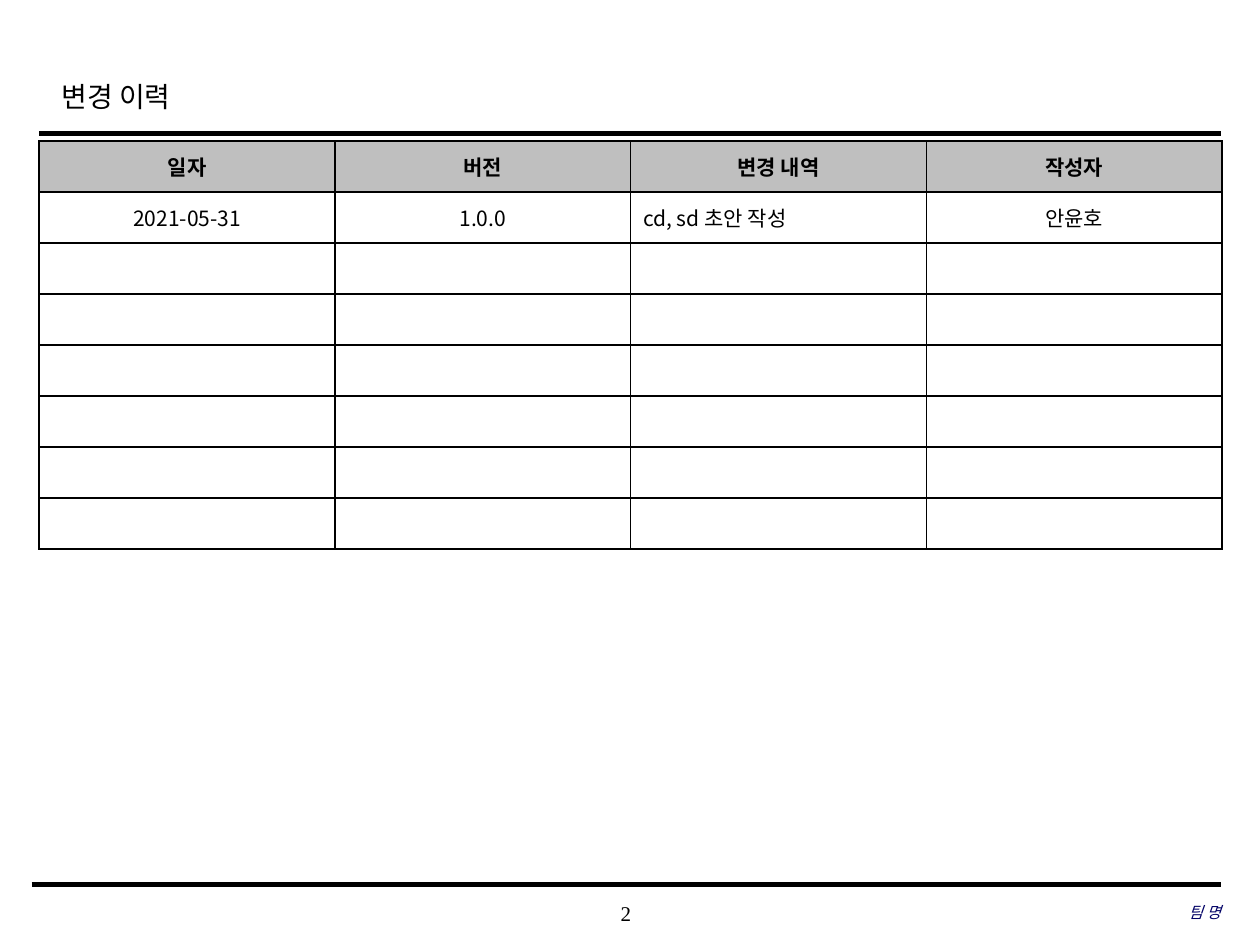
from dataclasses import dataclass

from lxml import etree
from pptx import Presentation
from pptx.dml.color import RGBColor
from pptx.enum.shapes import MSO_CONNECTOR
from pptx.enum.text import MSO_ANCHOR, PP_ALIGN
from pptx.oxml.ns import qn
from pptx.util import Cm, Pt

LEFT, CENTER, RIGHT = PP_ALIGN.LEFT, PP_ALIGN.CENTER, PP_ALIGN.RIGHT
MIDDLE = MSO_ANCHOR.MIDDLE
STRAIGHT = MSO_CONNECTOR.STRAIGHT

BLACK = RGBColor(0x00, 0x00, 0x00)
WHITE = RGBColor(0xFF, 0xFF, 0xFF)
HEADER_GRAY = RGBColor(0xBF, 0xBF, 0xBF)
TEAM_NAVY = RGBColor(0x00, 0x00, 0x66)

SERIF = "Times New Roman"
KOREAN = "Noto Sans CJK KR"

COLUMNS = ("일자", "버전", "변경 내역", "작성자")
ALIGNMENTS = (CENTER, CENTER, LEFT, CENTER)
CHANGES = [("2021-05-31", "1.0.0", "cd, sd 초안 작성", "안윤호")]
ROW_COUNT = 8
RIGHT_EDGE = 24.61


@dataclass(frozen=True)
class Style:
    size: float
    font: str = SERIF
    color: RGBColor = BLACK
    bold: bool = False
    italic: bool = False


@dataclass(frozen=True)
class Rule:
    left: float
    top: float
    width: float


@dataclass(frozen=True)
class FooterItem:
    text: str
    left: float
    top: float
    width: float
    align: PP_ALIGN
    style: Style


RULES = [Rule(0.79, 2.69, 2.5), Rule(0.64, 17.83, 3)]
FOOTER = [
    FooterItem("2", 9.98, 17.98, 5.28, CENTER, Style(12)),
    FooterItem("팀 명", 16.84, 17.96, 7.77, RIGHT,
               Style(9, color=TEAM_NAVY, italic=True)),
]


def write(frame, text: str, align: PP_ALIGN, style: Style) -> None:
    frame.text = text
    paragraph = frame.paragraphs[0]
    paragraph.alignment = align
    for run in paragraph.runs:
        font = run.font
        font.size, font.name = Pt(style.size), style.font
        font.bold, font.italic = style.bold, style.italic
        font.color.rgb = style.color
        east_asian = etree.Element(qn("a:ea"), typeface=KOREAN)
        font._element.find(qn("a:latin")).addnext(east_asian)


def add_rule(slide, rule: Rule) -> None:
    line = slide.shapes.add_connector(
        STRAIGHT, Cm(rule.left), Cm(rule.top), Cm(RIGHT_EDGE), Cm(rule.top))
    line.line.color.rgb = BLACK
    line.line.width = Pt(rule.width)
    etree.SubElement(line._element.spPr, qn("a:effectLst"))


def add_footer(slide, item: FooterItem) -> None:
    frame = slide.shapes.add_textbox(
        Cm(item.left), Cm(item.top), Cm(item.width), Cm(0.84)).text_frame
    frame.word_wrap = True
    frame.vertical_anchor = MIDDLE
    frame.margin_left = frame.margin_right = 0
    frame.margin_top = frame.margin_bottom = 0
    write(frame, item.text, item.align, item.style)


def add_borders(cell) -> None:
    properties = cell._tc.get_or_add_tcPr()
    for side in ("lnL", "lnR", "lnT", "lnB"):
        border = etree.SubElement(properties, qn(f"a:{side}"), w=str(Pt(1)))
        fill = etree.SubElement(border, qn("a:solidFill"))
        etree.SubElement(fill, qn("a:srgbClr"), val=str(BLACK))


def add_history(slide) -> None:
    history = slide.shapes.add_table(
        ROW_COUNT, len(COLUMNS), Cm(0.79), Cm(2.84), Cm(23.85), Cm(8.23)).table
    for row_index, row in enumerate(history.rows):
        is_header = row_index == 0
        if is_header:
            texts = COLUMNS
        elif row_index <= len(CHANGES):
            texts = CHANGES[row_index - 1]
        else:
            texts = ("",) * len(COLUMNS)
        style = Style(12, KOREAN, bold=is_header)
        for cell, text, align in zip(row.cells, texts, ALIGNMENTS):
            add_borders(cell)
            cell.fill.solid()
            cell.fill.fore_color.rgb = HEADER_GRAY if is_header else WHITE
            cell.vertical_anchor = MIDDLE
            cell.margin_top = cell.margin_bottom = Cm(0.1)
            if text:
                write(cell.text_frame, text,
                      CENTER if is_header else align, style)


def main() -> None:
    deck = Presentation()
    deck.slide_width, deck.slide_height = Cm(25.4), Cm(19.05)
    slide = deck.slides.add_slide(deck.slide_layouts[5])

    # Title
    title = slide.shapes.title
    title.left, title.top = Cm(0.99), Cm(1.24)
    title.width, title.height = Cm(19.18), Cm(1.27)
    title.text_frame.vertical_anchor = MIDDLE
    write(title.text_frame, "변경 이력", LEFT, Style(16))
    title.text_frame.paragraphs[0].line_spacing = 1.2

    # Rules and footer
    for rule in RULES:
        add_rule(slide, rule)
    for item in FOOTER:
        add_footer(slide, item)

    # Change history
    add_history(slide)
    deck.save("out.pptx")


if __name__ == "__main__":
    main()
